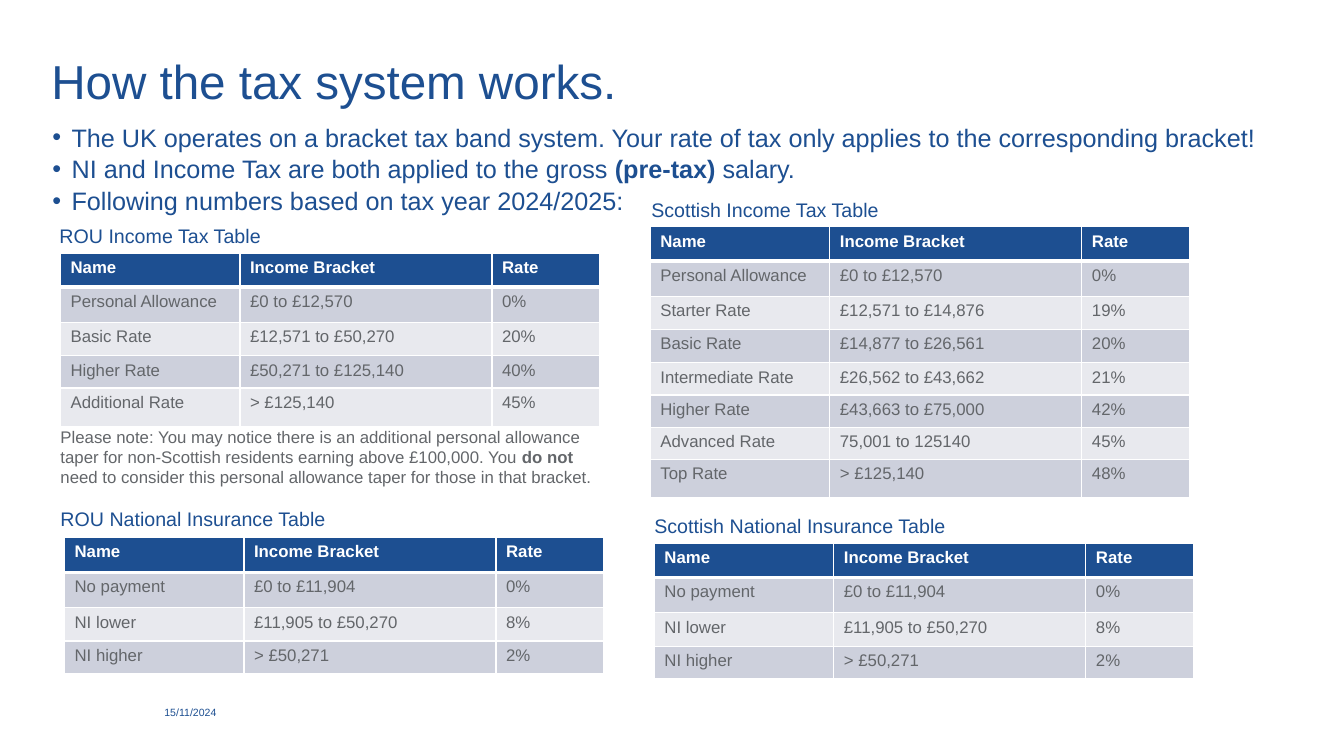
from lxml.etree import SubElement
from pptx import Presentation
from pptx.dml.color import RGBColor
from pptx.enum.text import MSO_ANCHOR, MSO_AUTO_SIZE, PP_ALIGN
from pptx.oxml.ns import qn
from pptx.util import Pt

PX = 9144  # 100 px to the inch
BLUE = RGBColor(0x1D, 0x4F, 0x91)
GREY = RGBColor(0x63, 0x66, 0x6A)
WHITE = RGBColor(0xFF, 0xFF, 0xFF)
DARK = RGBColor(0xCD, 0xD0, 0xDC)
LIGHT = RGBColor(0xE8, 0xE9, 0xEE)


def add_runs(para, text, size, color, bold=False):
    """Write text in one style; parts between * marks switch the weight."""
    for i, part in enumerate(text.split("*")):
        run = para.add_run()
        run.text = part
        look = {"name": "Arial", "size": Pt(size), "bold": bold != (i % 2 == 1)}
        for key, value in look.items():
            setattr(run.font, key, value)
        run.font.color.rgb = color


def place(shape, left, top, width, height):
    """Set the box of a text shape and clear its margins."""
    box = {"left": left, "top": top, "width": width, "height": height}
    for key, value in box.items():
        setattr(shape, key, value * PX)
    frame = shape.text_frame
    form = {"margin_left": 0, "margin_top": 0, "margin_right": 0,
            "margin_bottom": 0, "word_wrap": True,
            "auto_size": MSO_AUTO_SIZE.NONE, "vertical_anchor": MSO_ANCHOR.TOP}
    for key, value in form.items():
        setattr(frame, key, value)
    return frame


deck = Presentation()
deck.slide_width, deck.slide_height = 1333 * PX, 750 * PX
slide = deck.slides.add_slide(deck.slide_layouts[1])
shapes = slide.shapes

# Title
para = place(shapes.title, 51, 58, 1231, 110).paragraphs[0]
para.alignment = PP_ALIGN.LEFT
para.line_spacing = 0.9
add_runs(para, "How the tax system works.", 34, BLUE)

# Bullet list
points = [
    "The UK operates on a bracket tax band system. Your rate of tax only applies to the corresponding bracket!",
    "NI and Income Tax are both applied to the gross *(pre-tax) *salary.",
    "Following numbers based on tax year 2024/2025:",
]
frame = place(slide.placeholders[1], 52, 121, 1216, 91)
for i, point in enumerate(points):
    para = frame.add_paragraph() if i else frame.paragraphs[0]
    para.space_before, para.space_after = Pt(0), Pt(1)
    props = para._p.get_or_add_pPr()
    props.set("marL", str(19 * PX))
    props.set("indent", str(-19 * PX))
    SubElement(props, qn("a:buChar")).set("char", "•")
    add_runs(para, point, 18, BLUE)

# Captions, note and date: left, top, width, height, size, color, text
notes = [
    (59, 222, 536, 24, 14, BLUE, "ROU Income Tax Table"),
    (60, 503, 536, 24, 14, BLUE, "ROU National Insurance Table"),
    (646, 196, 536, 24, 14, BLUE, "Scottish Income Tax Table"),
    (649, 510, 536, 24, 14, BLUE, "Scottish National Insurance Table"),
    (60, 423, 535, 101, 12, GREY,
     "Please note: You may notice there is an additional personal allowance taper "
     "for non-Scottish residents earning above £100,000. You *do not *need to "
     "consider this personal allowance taper for those in that bracket."),
    (163, 700, 79, 24, 7.5, BLUE, "15/11/2024"),
]
for *box, size, color, text in notes:
    frame = place(shapes.add_textbox(0, 0, PX, PX), *box)
    add_runs(frame.paragraphs[0], text, size, color)

# Tables: left, top, row heights, rows
head = ("Name", "Income Bracket", "Rate")
free = ("Personal Allowance", "£0 to £12,570", "0%")
dues = [
    head,
    ("No payment", "£0 to £11,904", "0%"),
    ("NI lower", "£11,905 to £50,270", "8%"),
    ("NI higher", "> £50,271", "2%"),
]
tables = [
    (60, 251, (34, 35, 33, 32, 38), [
        head, free,
        ("Basic Rate", "£12,571 to £50,270", "20%"),
        ("Higher Rate", "£50,271 to £125,140", "40%"),
        ("Additional Rate", "> £125,140", "45%"),
    ]),
    (64, 533, (35, 35, 33, 32), dues),
    (645, 225, (34, 35, 33, 33, 32, 32, 32, 38), [
        head, free,
        ("Starter Rate", "£12,571 to £14,876", "19%"),
        ("Basic Rate", "£14,877 to £26,561", "20%"),
        ("Intermediate Rate", "£26,562 to £43,662", "21%"),
        ("Higher Rate", "£43,663 to £75,000", "42%"),
        ("Advanced Rate", "75,001 to 125140", "45%"),
        ("Top Rate", "> £125,140", "48%"),
    ]),
    (649, 539, (34, 35, 33, 32), dues),
]
for left, top, heights, rows in tables:
    table = shapes.add_table(len(rows), 3, left * PX, top * PX,
                             535 * PX, sum(heights) * PX).table
    for col, width in zip(table.columns, (178, 250, 107)):
        col.width = width * PX
    for r, (height, row) in enumerate(zip(heights, rows)):
        table.rows[r].height = height * PX
        for c, text in enumerate(row):
            cell = table.cell(r, c)
            # White borders, thick below the head row
            thick = {"lnL": 1, "lnR": 1, "lnT": 3 if r == 1 else 1,
                     "lnB": 3 if r == 0 else 1}
            for side, width in thick.items():
                line = SubElement(cell._tc.get_or_add_tcPr(), qn("a:" + side))
                line.set("w", str(Pt(width)))
                fill = SubElement(line, qn("a:solidFill"))
                SubElement(fill, qn("a:srgbClr")).set("val", str(WHITE))
            cell.fill.solid()
            cell.fill.fore_color.rgb = BLUE if r == 0 else DARK if r % 2 else LIGHT
            add_runs(cell.text_frame.paragraphs[0], text, 12,
                     GREY if r else WHITE, bold=r == 0)

deck.save("out.pptx")
